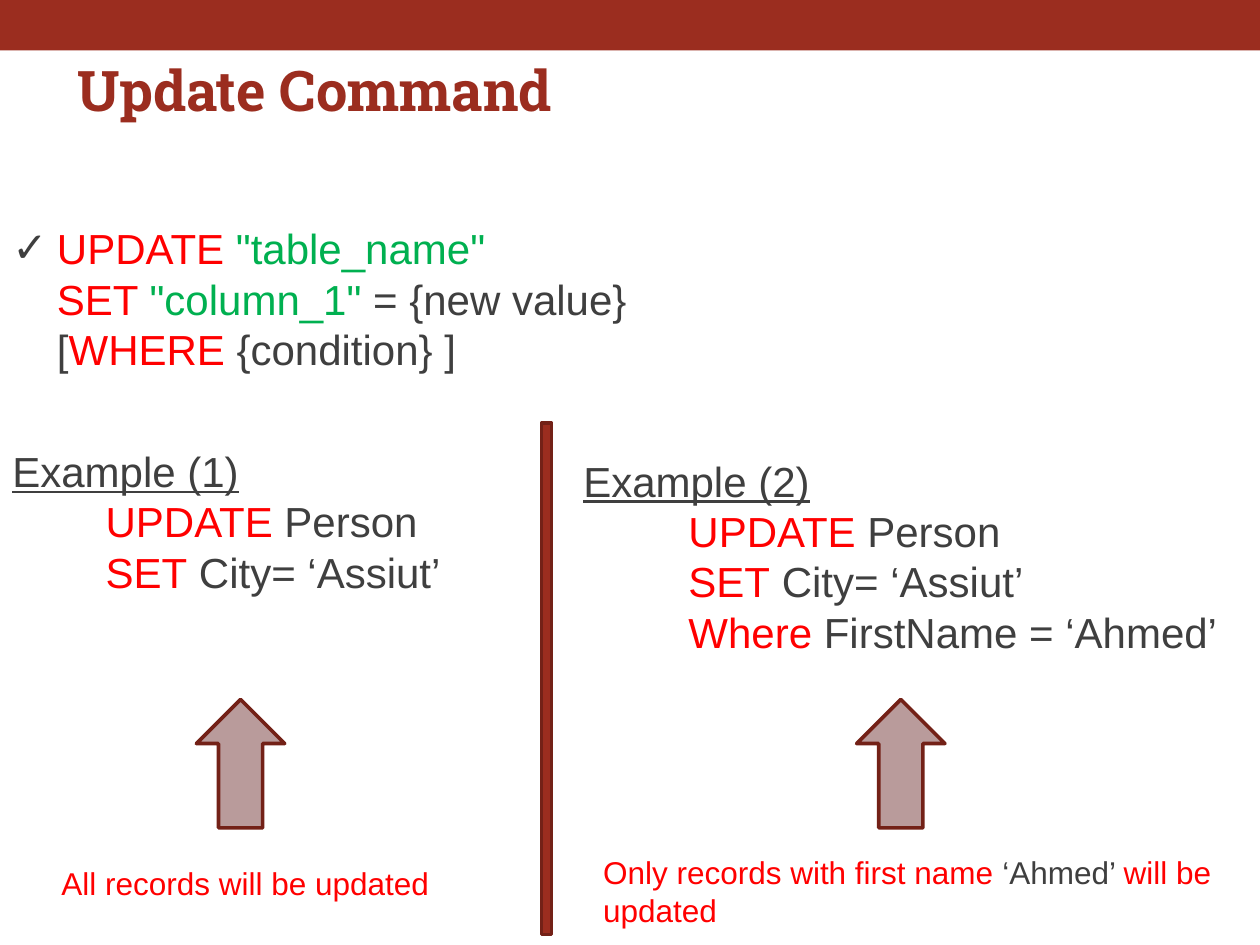
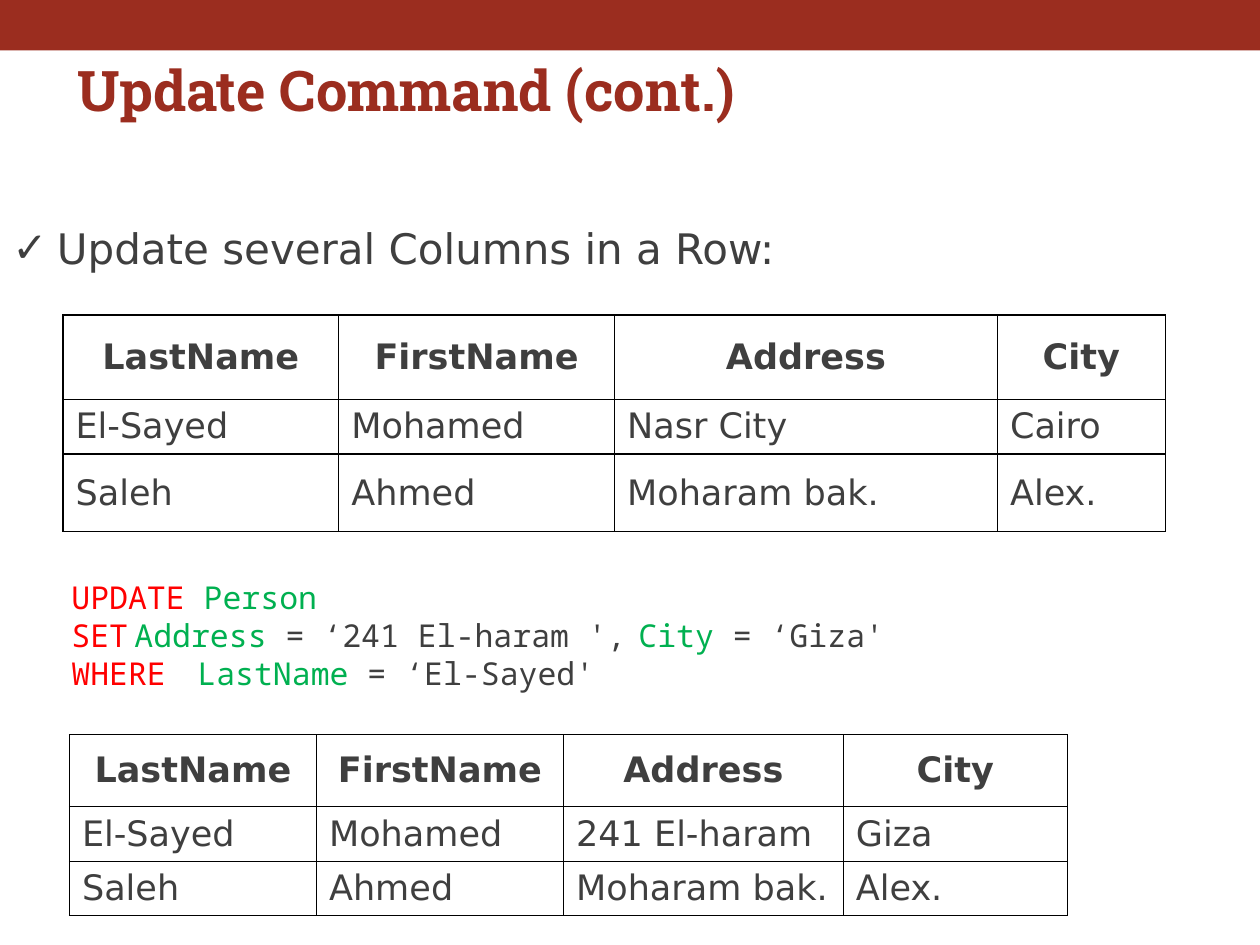
from dataclasses import dataclass

import lxml.etree
import pptx
import pptx.dml.color
import pptx.enum.shapes
import pptx.enum.text
import pptx.oxml.ns
import pptx.util
from pptx.util import Cm, Pt

COLORS = {
    "brick": "9B2D1F",
    "edge": "732117",
    "arrow": "B99B9B",
    "text": "3F3F3F",
    "keyword": "FF0000",
    "name": "00B050",
    "rule": "000000",
}
TITLE_FONT, BODY_FONT, TABLE_FONT, CODE_FONT = (
    "Roboto Slab", "Arial", "DejaVu Sans", "Noto Sans Mono")
LINE_PITCH = 1.2
HANGING = 0.9
SHAPES = pptx.enum.shapes.MSO_SHAPE
ANCHOR = pptx.enum.text.MSO_ANCHOR
ALIGN = pptx.enum.text.PP_ALIGN


# Descriptions of the repeated elements; lengths are centimetres
@dataclass
class Area:
    left: float
    top: float
    width: float
    height: float

    def lengths(self) -> list:
        return [Cm(value) for value in (self.left, self.top, self.width, self.height)]


@dataclass
class Line:
    spans: list[tuple[str, str]]  # text, colour name
    indent: float = 0
    bullet: bool = False
    underline: bool = False
    tabs: tuple[float, ...] = ()


@dataclass
class TextBlock:
    area: Area
    lines: list[Line]
    size: int = 24
    font: str = BODY_FONT
    anchor: ANCHOR = ANCHOR.TOP


@dataclass
class Grid:
    area: Area
    columns: list[float]
    rows: list[float]
    records: list[list[str]]


def rgb(name: str) -> pptx.dml.color.RGBColor:
    return pptx.dml.color.RGBColor.from_string(COLORS[name])


def add_xml(parent, tag: str, **attributes: str):
    return lxml.etree.SubElement(parent, pptx.oxml.ns.qn(tag), attributes)


def style_font(font, name: str, size: int, color: str, bold: bool = False) -> None:
    font.name, font.size, font.bold = name, Pt(size), bold
    font.color.rgb = rgb(color)


# Drawing
def draw_shape(page, kind: SHAPES, area: Area, fill: str, edge: str | None = None):
    shape = page.shapes.add_shape(kind, *area.lengths())
    shape.shadow.inherit = False
    shape.fill.solid()
    shape.fill.fore_color.rgb = rgb(fill)
    if edge:
        shape.line.color.rgb = rgb(edge)
        shape.line.width = Pt(2.08)
    else:
        shape.line.fill.background()
    return shape


def format_paragraph(para, line: Line, size: int) -> None:
    para.line_spacing = Pt(size * LINE_PITCH)
    properties = para._p.get_or_add_pPr()
    properties.set("marL", str(Cm(line.indent)))
    properties.set("indent", str(-Cm(line.indent) if line.bullet else 0))
    if line.bullet:
        color = add_xml(properties, "a:buClr")
        add_xml(color, "a:srgbClr", val=COLORS["text"])
        add_xml(properties, "a:buFont", typeface=BODY_FONT)
        add_xml(properties, "a:buChar", char="✓")
    if line.tabs:
        stops = add_xml(properties, "a:tabLst")
        for position in line.tabs:
            add_xml(stops, "a:tab", pos=str(Cm(position)), algn="l")


def draw_text(page, block: TextBlock) -> None:
    box = page.shapes.add_textbox(*block.area.lengths())
    frame = box.text_frame
    frame.word_wrap = True
    frame.vertical_anchor = block.anchor
    for index, line in enumerate(block.lines):
        para = frame.add_paragraph() if index else frame.paragraphs[0]
        format_paragraph(para, line, block.size)
        for text, color in line.spans:
            span = para.add_run()
            span.text = text
            style_font(span.font, block.font, block.size, color)
            span.font.underline = line.underline


def draw_borders(cell) -> None:
    properties = cell._tc.get_or_add_tcPr()
    for index, side in enumerate(("a:lnL", "a:lnR", "a:lnT", "a:lnB")):
        border = lxml.etree.Element(pptx.oxml.ns.qn(side), w=str(Pt(0.75)))
        fill = add_xml(border, "a:solidFill")
        add_xml(fill, "a:srgbClr", val=COLORS["rule"])
        properties.insert(index, border)


def draw_table(page, grid: Grid) -> None:
    table = page.shapes.add_table(
        len(grid.rows), len(grid.columns), *grid.area.lengths()).table
    table.first_row = table.horz_banding = False
    for column, width in zip(table.columns, grid.columns):
        column.width = Cm(width)
    for row, height in zip(table.rows, grid.rows):
        row.height = Cm(height)
    for row_index, record in enumerate(grid.records):
        header = row_index == 0
        for column_index, text in enumerate(record):
            cell = table.cell(row_index, column_index)
            cell.fill.background()
            cell.vertical_anchor = ANCHOR.MIDDLE
            draw_borders(cell)
            para = cell.text_frame.paragraphs[0]
            para.text = text
            para.alignment = ALIGN.CENTER if header else ALIGN.LEFT
            style_font(para.runs[0].font, TABLE_FONT, 20, "text", header)


def add_page(deck, layout, title: str):
    page = deck.slides.add_slide(layout)
    box = page.shapes.title
    box.left, box.top, box.width, box.height = Area(1.3, 0.99, 24.1, 1.63).lengths()
    frame = box.text_frame
    frame.text = title
    frame.auto_size = pptx.enum.text.MSO_AUTO_SIZE.NONE
    frame.vertical_anchor = ANCHOR.MIDDLE
    para = frame.paragraphs[0]
    para.alignment = ALIGN.LEFT
    style_font(para.runs[0].font, TITLE_FONT, 32, "brick", True)
    return page


def put_band_on_layout(page, layout) -> None:
    band = draw_shape(page, SHAPES.RECTANGLE, Area(0, 0, 25.4, 1.02), "brick")
    band.element.nvSpPr.cNvPr.set("id", "99")
    layout.shapes.element.insert(2, band.element)


# Content
def example(number: int, area: Area, indent: float,
            statements: list[tuple[str, str]]) -> TextBlock:
    heading = Line([(f"Example ({number})", "text")], underline=True)
    code = [Line([(keyword, "keyword"), (rest, "text")], indent)
            for keyword, rest in statements]
    return TextBlock(area, [heading, *code], anchor=ANCHOR.MIDDLE)


SYNTAX = TextBlock(Area(0, 4.37, 25.4, 3.51), [
    Line([("UPDATE ", "keyword"), ('"table_name"', "name")], HANGING, bullet=True),
    Line([("SET ", "keyword"), ('"column_1" ', "name"), ("= {new value}", "text")],
         HANGING),
    Line([("[", "text"), ("WHERE", "keyword"), (" {condition} ]", "text")], HANGING),
])
ASSIGNMENT = [("UPDATE", " Person"), ("SET", " City= ‘Assiut’")]
EXAMPLES = [
    example(1, Area(0, 8.74, 9.93, 3.53), 1.88, ASSIGNMENT),
    example(2, Area(11.51, 8.26, 13.69, 5.89), 2.12,
            ASSIGNMENT + [("Where", " FirstName = ‘Ahmed’")]),
]
NOTES = [
    TextBlock(Area(0.99, 17.3, 8.53, 1.5),
              [Line([("All records will be updated", "keyword")])], 18),
    TextBlock(Area(11.91, 17.07, 13.49, 1.8),
              [Line([("Only records with first name ", "keyword"),
                     ("‘Ahmed’ ", "text"), ("will be updated", "keyword")])], 18),
]
ARROW_LEFTS = [3.96, 17.27]

TOPIC = TextBlock(
    Area(0, 4.37, 25.4, 1.65),
    [Line([("Update several Columns in a Row:", "text")], HANGING, bullet=True)],
    font=TABLE_FONT)
STATEMENT = TextBlock(Area(1.19, 11.53, 21.44, 3.43), [
    Line([("UPDATE ", "keyword"), ("Person", "name")]),
    Line([("SET\t", "keyword"), ("Address", "name"), (" = ‘241 El-haram ',\t", "text"),
          ("City", "name"), (" = ‘Giza'", "text")], tabs=(4.57, 15.24)),
    Line([("WHERE\t", "keyword"), ("LastName", "name"), (" = ‘El-Sayed'", "text")],
         tabs=(3.05,)),
], 18, CODE_FONT)
HEADER = ["LastName", "FirstName", "Address", "City"]
SALEH = ["Saleh", "Ahmed", "Moharam bak.", "Alex."]
GRIDS = [
    Grid(Area(1.27, 6.35, 22.22, 4.36), [5.56, 5.56, 7.72, 3.38], [1.7, 1.09, 1.57],
         [HEADER, ["El-Sayed", "Mohamed", "Nasr City", "Cairo"], SALEH]),
    Grid(Area(1.4, 14.81, 20.12, 3.63), [4.98, 4.98, 5.64, 4.52], [1.45, 1.09, 1.09],
         [HEADER, ["El-Sayed", "Mohamed", "241 El-haram", "Giza"], SALEH]),
]


def main() -> None:
    deck = pptx.Presentation()
    deck.slide_width, deck.slide_height = Cm(25.4), Cm(19.05)
    layout = deck.slide_layouts.get_by_name("Title Only")

    # Syntax and two examples
    page = add_page(deck, layout, "Update Command")
    put_band_on_layout(page, layout)
    draw_shape(page, SHAPES.RECTANGLE, Area(10.92, 8.53, 0.2, 10.31), "brick", "edge")
    for block in (SYNTAX, *EXAMPLES, *NOTES):
        draw_text(page, block)
    for left in ARROW_LEFTS:
        draw_shape(page, SHAPES.UP_ARROW, Area(left, 14.1, 1.78, 2.59), "arrow", "edge")

    # Table before and after the update
    page = add_page(deck, layout, "Update Command (cont.)")
    for block in (TOPIC, STATEMENT):
        draw_text(page, block)
    for grid in GRIDS:
        draw_table(page, grid)

    deck.save("out.pptx")


if __name__ == "__main__":
    main()
